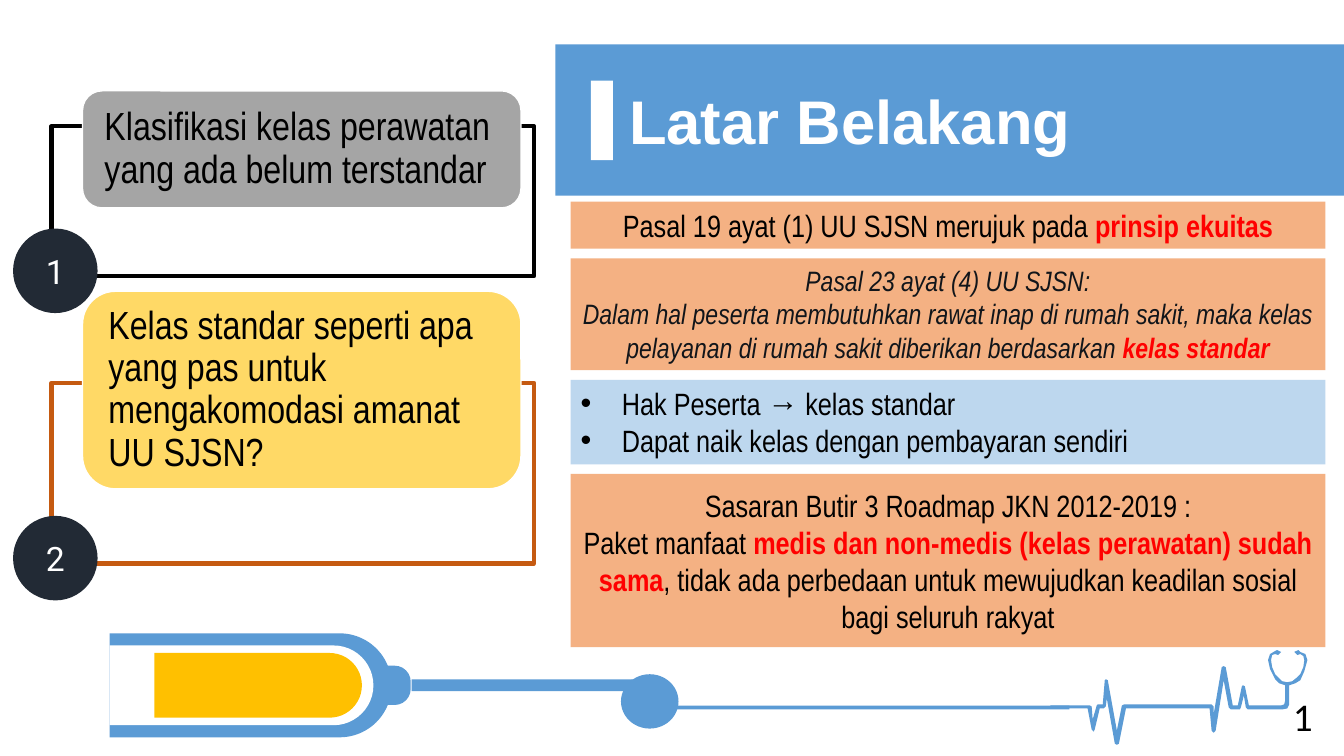
from lxml.etree import SubElement
from pptx import Presentation
from pptx.dml.color import RGBColor
from pptx.enum.shapes import MSO_SHAPE
from pptx.enum.text import MSO_ANCHOR, MSO_AUTO_SIZE, PP_ALIGN
from pptx.oxml.ns import qn
from pptx.util import Cm, Pt

COLORS = {
    "blue": "5B9BD5", "white": "FFFFFF", "black": "000000", "grey": "A5A5A5",
    "yellow": "FFD966", "rust": "C55A11", "navy": "222A35", "peach": "F4B183",
    "sky": "BDD7EE", "red": "FF0000", "ink": "11151A", "amber": "FFC000",
}
NARROW = {"name": "Arial Narrow", "size": Pt(22), "color": "black"}
EMPHASIS = {"bold": True, "color": "red"}

# Outline in hundredths of an inch, from the left end of the trace
HEARTBEAT = [
    (255, 10), (253, 4), (248, 2), (246, 0), (242, 2), (245, 5), (248, 4), (251, 6),
    (252, 10), (251, 17), (248, 24), (245, 27), (240, 31), (235, 32), (230, 31),
    (226, 27), (223, 24), (220, 17), (219, 10), (220, 5), (223, 4), (226, 5),
    (229, 2), (225, 0), (223, 1), (218, 4), (216, 10), (218, 19), (223, 29),
    (227, 33), (233, 35), (233, 50), (232, 54), (229, 55), (197, 55), (193, 36),
    (191, 35), (190, 36), (186, 55), (181, 55), (174, 17), (172, 16), (170, 17),
    (162, 64), (162, 56), (160, 54), (73, 54), (71, 55), (66, 80), (57, 30),
    (55, 29), (54, 30), (52, 54), (47, 54), (46, 55), (42, 69), (41, 56), (39, 55),
    (0, 55), (0, 58), (37, 58), (41, 79), (43, 81), (44, 79), (49, 58), (53, 58),
    (55, 56), (56, 48), (64, 93), (66, 94), (68, 93), (75, 58), (158, 58),
    (160, 80), (162, 82), (164, 80), (172, 30), (177, 57), (179, 59), (188, 59),
    (189, 57), (192, 45), (194, 57), (196, 59), (230, 59), (235, 58), (237, 54),
    (237, 35), (243, 33), (248, 30), (252, 21),
]


def rgb(color):
    return RGBColor.from_string(COLORS[color])


def paint(shape, fill, line=None, width=1):
    shape.shadow.inherit = False
    shape.fill.solid()
    shape.fill.fore_color.rgb = rgb(fill)
    if line:
        shape.line.color.rgb = rgb(line)
        shape.line.width = Pt(width)
    else:
        shape.line.fill.background()
    return shape


def add_block(slide, kind, box, fill, line=None, width=1):
    shape = slide.shapes.add_shape(kind, *map(Cm, box))
    return paint(shape, fill, line, width)


def add_turned(slide, kind, box, fill):
    """Fill the box with a shape turned a quarter clockwise."""
    left, top, width, height = box
    shift = (width - height) / 2
    shape = add_block(slide, kind, (left + shift, top - shift, height, width), fill)
    shape.rotation = 90
    if kind == MSO_SHAPE.ROUND_2_SAME_RECTANGLE:
        shape.adjustments[0] = 0.5


def write(shape, paragraphs, font, paragraph_format=None, frame_format=None):
    """Write paragraphs of (text, font changes) runs."""
    frame = shape.text_frame
    frame.word_wrap = True
    for key, value in (frame_format or {}).items():
        setattr(frame, key, value)
    for index, runs in enumerate(paragraphs):
        paragraph = frame.add_paragraph() if index else frame.paragraphs[0]
        for key, value in (paragraph_format or {}).items():
            setattr(paragraph, key, value)
        for text, changes in runs:
            run = paragraph.add_run()
            run.text = text
            for key, value in {**font, **changes}.items():
                if key == "color":
                    run.font.color.rgb = rgb(value)
                else:
                    setattr(run.font, key, value)


def place(shape, box):
    for key, value in zip(("left", "top", "width", "height"), box):
        setattr(shape, key, Cm(value))


def add_header(slide, box):
    left, top, _, _ = box
    add_block(slide, MSO_SHAPE.RECTANGLE, box, "blue")
    add_block(slide, MSO_SHAPE.RECTANGLE, (left + 0.89, top + 0.91, 0.56, 2.01), "white")
    title = slide.shapes.title
    slide.shapes._spTree.append(title._element)  # in front of the band
    place(title, (left + 1.6, top + 1.04, 16.59, 1.98))
    write(title, [[("Latar Belakang", {})]],
          {"name": "Arial", "size": Pt(44), "bold": True, "color": "white"},
          {"alignment": PP_ALIGN.LEFT, "line_spacing": 0.9},
          {"vertical_anchor": MSO_ANCHOR.MIDDLE, "auto_size": MSO_AUTO_SIZE.NONE})


def add_issue(slide, box, number, question, fill, line, card_height, frame_top):
    """Numbered card in front of an outlined frame."""
    left, top, width, height = box
    frame = add_block(slide, MSO_SHAPE.RECTANGLE,
                      (left + 0.97, top + frame_top, width - 0.97, height - frame_top),
                      "white", line, 3)
    tint = frame._element.spPr.find(qn("a:solidFill"))[0]
    SubElement(tint, qn("a:alpha"), val="90000")
    card = add_block(slide, MSO_SHAPE.ROUNDED_RECTANGLE,
                     (left + 1.75, top, 11.05, card_height), fill, "white")
    write(card, [[(question, {})]], {**NARROW, "size": Pt(28)},
          {"alignment": PP_ALIGN.LEFT, "line_spacing": 0.9},
          {"margin_left": Cm(0.41), "margin_right": Cm(0.41), "margin_top": 0,
           "margin_bottom": 0, "vertical_anchor": MSO_ANCHOR.MIDDLE})
    badge = add_block(slide, MSO_SHAPE.OVAL,
                      (left, top + height - 1.2, 2.13, 2.13), "navy")
    write(badge, [[(number, {})]],
          {"name": "Roboto", "size": Pt(24), "color": "white"},
          {"alignment": PP_ALIGN.CENTER}, {"vertical_anchor": MSO_ANCHOR.MIDDLE})


def add_rights(slide, box):
    """Bulleted list of the participants' rights."""
    rights = slide.placeholders[1]
    slide.shapes._spTree.append(rights._element)
    place(rights, box)
    paint(rights, "sky")
    write(rights, [[("Hak Peserta → kelas standar", {})],
                   [("Dapat naik kelas dengan pembayaran sendiri", {})]],
          NARROW, {"space_before": Pt(0), "alignment": PP_ALIGN.LEFT},
          {"vertical_anchor": MSO_ANCHOR.TOP, "auto_size": MSO_AUTO_SIZE.NONE})
    for paragraph in rights.text_frame.paragraphs:
        properties = paragraph._p.get_or_add_pPr()
        properties.set("marL", str(Cm(1.04)))
        properties.set("indent", str(-Cm(1.04)))
        SubElement(properties, qn("a:buFont"), typeface="Arial")
        SubElement(properties, qn("a:buChar"), char="•")


def add_legal_basis(slide, box):
    left, top, width, _ = box
    equity = [[("Pasal 19 ayat (1) UU SJSN merujuk pada ", {}),
               ("prinsip ekuitas", EMPHASIS)]]
    standard = [[("Pasal 23 ayat (4) UU SJSN:", {})],
                [("Dalam hal peserta membutuhkan rawat inap di rumah sakit, maka kelas "
                  "pelayanan di rumah sakit diberikan berdasarkan ", {}),
                 ("kelas standar", EMPHASIS)]]
    roadmap = [[("Sasaran Butir 3 Roadmap JKN 2012-2019 :", {})],
               [("Paket manfaat ", {}),
                ("medis dan non-medis (kelas perawatan) sudah sama", EMPHASIS),
                (", tidak ada perbedaan untuk mewujudkan keadilan sosial bagi "
                 "seluruh rakyat", {})]]
    article = {**NARROW, "size": Pt(20), "italic": True, "color": "ink"}
    for height, passage, font, anchor in (
            (1.19, equity, NARROW, MSO_ANCHOR.TOP),
            (2.82, standard, article, MSO_ANCHOR.TOP),
            (2.13, None, None, None),
            (4.37, roadmap, NARROW, MSO_ANCHOR.MIDDLE)):
        row = (left, top, width, height)
        if passage:
            panel = add_block(slide, MSO_SHAPE.RECTANGLE, row, "peach")
            write(panel, passage, font, {"alignment": PP_ALIGN.CENTER},
                  {"vertical_anchor": anchor})
        else:
            add_rights(slide, row)
        top += height + 0.24


def add_heartbeat(slide, box):
    left, top, width, _ = box
    add_block(slide, MSO_SHAPE.RECTANGLE, (left, top + 1.4, width - 6.0, 0.1), "blue")
    builder = slide.shapes.build_freeform(*HEARTBEAT[0], scale=Cm(0.0254))
    builder.add_line_segments(HEARTBEAT[1:], close=True)
    paint(builder.convert_to_shape(Cm(left + width - 6.48), Cm(top)), "blue")


def add_syringe(slide, box):
    left, top, _, height = box
    barrel = MSO_SHAPE.ROUND_2_SAME_RECTANGLE
    for kind, offset, length, thickness, fill in (
            (barrel, 0, 7.11, 2.62, "blue"),
            (barrel, 0, 6.65, 2.01, "white"),
            (barrel, 6.78, 0.81, 0.99, "blue"),
            (MSO_SHAPE.RECTANGLE, 7.61, 5.56, 0.3, "blue"),
            (MSO_SHAPE.RIGHT_TRIANGLE, 13.16, 0.69, 0.3, "blue"),
            (barrel, 1.13, 5.23, 1.63, "amber")):
        add_turned(slide, kind, (left + offset, top + (height - thickness) / 2,
                                 length, thickness), fill)
    add_block(slide, MSO_SHAPE.OVAL, (left + 12.89, top + 1.03, 1.45, 1.37), "blue")


def add_page_number(slide, box):
    number = slide.shapes.add_textbox(*map(Cm, box))
    write(number, [[("1", {})]], {"name": "Calibri", "size": Pt(28), "color": "black"})


def main():
    deck = Presentation()
    deck.slide_width, deck.slide_height = Cm(33.87), Cm(19.05)
    slide = deck.slides.add_slide(deck.slide_layouts[1])
    add_header(slide, (14, 1.12, 19.87, 3.81))
    add_heartbeat(slide, (16.31, 16.38, 16.64, 2.39))
    add_issue(slide, (0.33, 2.29, 13.13, 4.67), "1",
              "Klasifikasi kelas perawatan yang ada belum terstandar",
              "grey", "black", 2.95, 0.89)
    add_issue(slide, (0.33, 7.34, 13.13, 6.86), "2",
              "Kelas standar seperti apa yang pas untuk mengakomodasi amanat UU SJSN?",
              "yellow", "rust", 4.98, 2.31)
    add_legal_basis(slide, (14.38, 5.08, 19.02, 11.25))
    add_syringe(slide, (2.76, 15.96, 14.34, 2.62))
    add_page_number(slide, (32.33, 17.32, 1.5, 1.45))
    deck.save("out.pptx")


if __name__ == "__main__":
    main()
